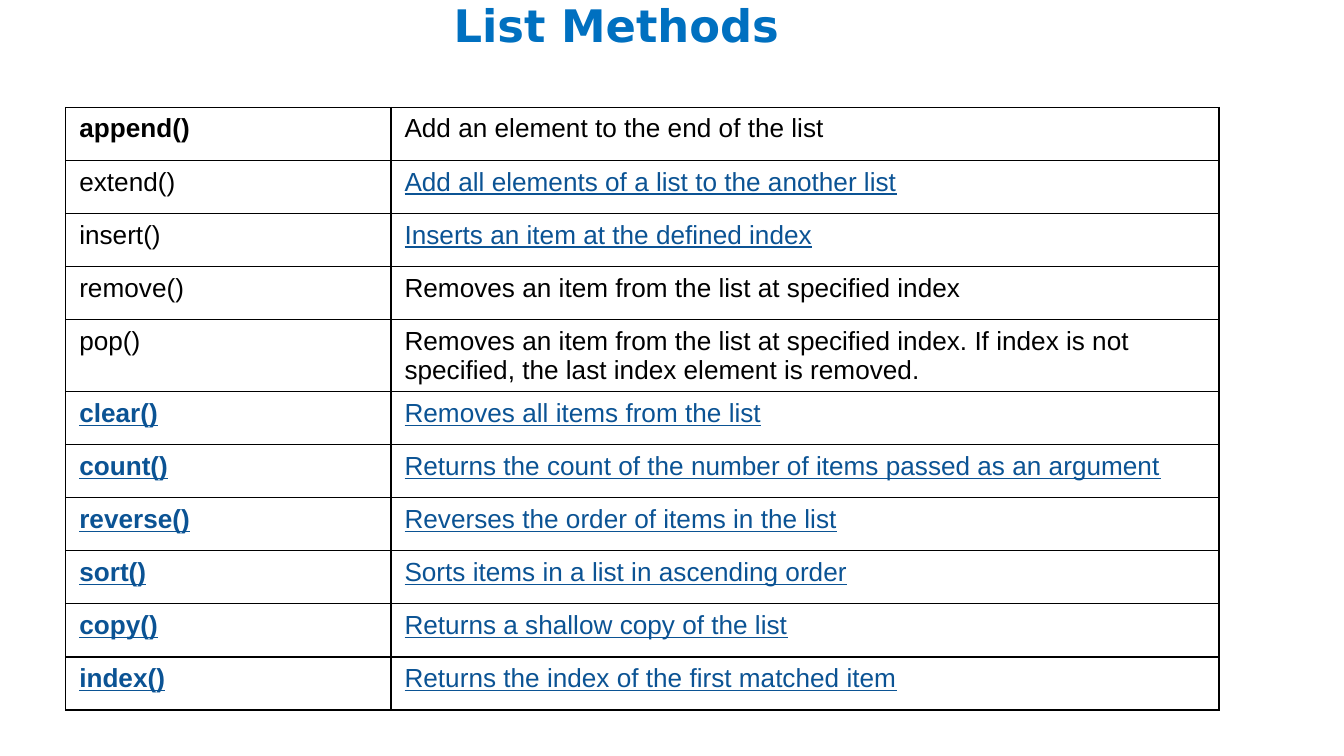
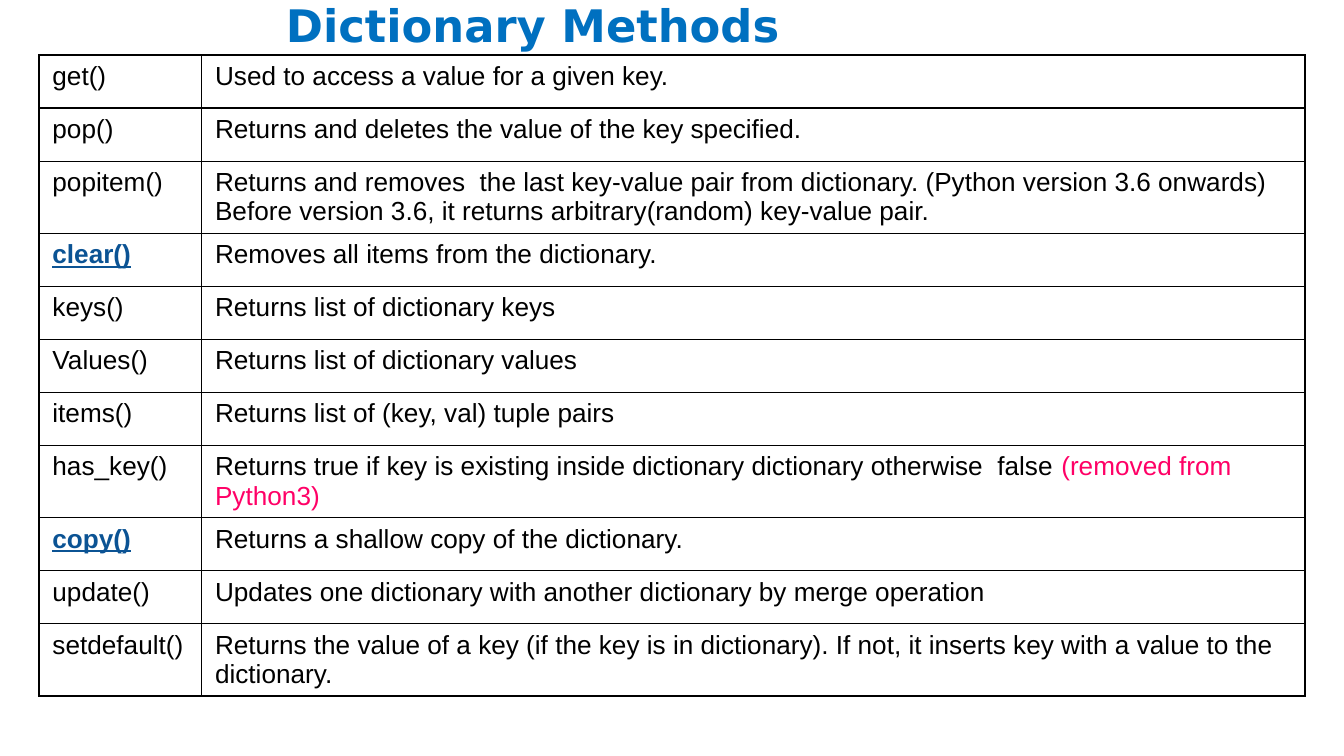
from dataclasses import dataclass
from lxml.etree import SubElement as Sub
from pptx import Presentation
from pptx.dml.color import RGBColor as Rgb
from pptx.enum.text import MSO_ANCHOR as Anchor, MSO_AUTO_SIZE as Auto, PP_ALIGN as Align
from pptx.oxml.ns import qn
from pptx.util import Inches, Pt


@dataclass(frozen=True)
class Theme:
    head: str = "0070C0"
    ink: str = "000000"
    link: str = "0B5394"
    note: str = "FF0066"
    face: str = "DejaVu Sans"
    font: str = "Arial"
    big: int = 24
    size: int = 14
    rule: float = 0.75


look = Theme()


def put(para, text, font=look.font, size=look.size, color=look.ink, bold=False, line=False):
    run = para.add_run()
    run.text = text
    run.font.name = font
    run.font.size = Pt(size)
    run.font.color.rgb = Rgb.from_string(color)
    run.font.bold = bold
    run.font.underline = line


def frame(cell):
    props = cell._tc.get_or_add_tcPr()
    for side in ("lnL", "lnR", "lnT", "lnB"):
        edge = Sub(props, qn(f"a:{side}"), w=str(Pt(look.rule)))
        fill = Sub(edge, qn("a:solidFill"))
        Sub(fill, qn("a:srgbClr"), val=look.ink)
    cell.fill.background()


plain = {}
bold = {"bold": True}
link = {"color": look.link, "line": True}
strong = {**link, **bold}
note = {"color": look.note}

lists = [
    ("append()", bold, [("Add an element to the end of the list", plain)]),
    ("extend()", plain, [("Add all elements of a list to the another list", link)]),
    ("insert()", plain, [("Inserts an item at the defined index", link)]),
    ("remove()", plain, [("Removes an item from the list at specified index", plain)]),
    ("pop()", plain, [("Removes an item from the list at specified index. If index is not "
                       "specified, the last index element is removed.", plain)]),
    ("clear()", strong, [("Removes all items from the list", link)]),
    ("count()", strong, [("Returns the count of the number of items passed as an argument", link)]),
    ("reverse()", strong, [("Reverses the order of items in the list", link)]),
    ("sort()", strong, [("Sorts items in a list in ascending order", link)]),
    ("copy()", strong, [("Returns a shallow copy of the list", link)]),
    ("index()", strong, [("Returns the index of the first matched item", link)]),
]

dicts = [
    ("get()", plain, [("Used to access a value for a given key.", plain)]),
    ("pop()", plain, [("Returns and deletes the value of the key specified.", plain)]),
    ("popitem()", plain, [("Returns and removes  the last key-value pair from dictionary. "
                           "(Python version 3.6 onwards) Before version 3.6, it returns "
                           "arbitrary(random) key-value pair.", plain)]),
    ("clear()", strong, [("Removes all items from the dictionary.", plain)]),
    ("keys()", plain, [("Returns list of dictionary keys", plain)]),
    ("Values()", plain, [("Returns list of dictionary values", plain)]),
    ("items()", plain, [("Returns list of (key, val) tuple pairs", plain)]),
    ("has_key()", plain, [("Returns true if key is existing inside dictionary dictionary "
                           "otherwise  false ", plain), ("(removed from Python3)", note)]),
    ("copy()", strong, [("Returns a shallow copy of the dictionary.", plain)]),
    ("update()", plain, [("Updates one dictionary with another dictionary by merge operation", plain)]),
    ("setdefault()", plain, [("Returns the value of a key (if the key is in dictionary). If not, "
                              "it inserts key with a value to the dictionary.", plain)]),
]

pages = [
    ("List Methods", (1.64, 5.89), (0.49, 0.8), (2.42, 6.16), lists),
    (" Dictionary Methods", (0.27, 7.27), (0.29, 0.41), (1.21, 8.21), dicts),
]

deck = Presentation()
deck.slide_width = Inches(10)
deck.slide_height = Inches(10 * 9 / 16)

for name, (left, width), (x, y), cols, rows in pages:
    slide = deck.slides.add_slide(deck.slide_layouts[5])

    title = slide.shapes.title
    title.left, title.top = Inches(left), Inches(-0.11)
    title.width, title.height = Inches(width), Inches(0.18)
    text = title.text_frame
    text.auto_size = Auto.NONE
    text.word_wrap = True
    text.vertical_anchor = Anchor.TOP
    text.margin_left = text.margin_right = Inches(0.1)
    text.margin_top = text.margin_bottom = Inches(0.1)
    para = text.paragraphs[0]
    para.alignment = Align.CENTER
    put(para, name, font=look.face, size=look.big, color=look.head, bold=True)

    grid = slide.shapes.add_table(
        len(rows), len(cols), Inches(x), Inches(y), Inches(sum(cols)), Inches(4.34)
    ).table
    grid.first_row = grid.horz_banding = False
    for col, wide in zip(grid.columns, cols):
        col.width = Inches(wide)
    for row, (call, style, parts) in zip(grid.rows, rows):
        for cell, runs in zip(row.cells, ([(call, style)], parts)):
            frame(cell)
            for words, form in runs:
                put(cell.text_frame.paragraphs[0], words, **form)

deck.save("out.pptx")
